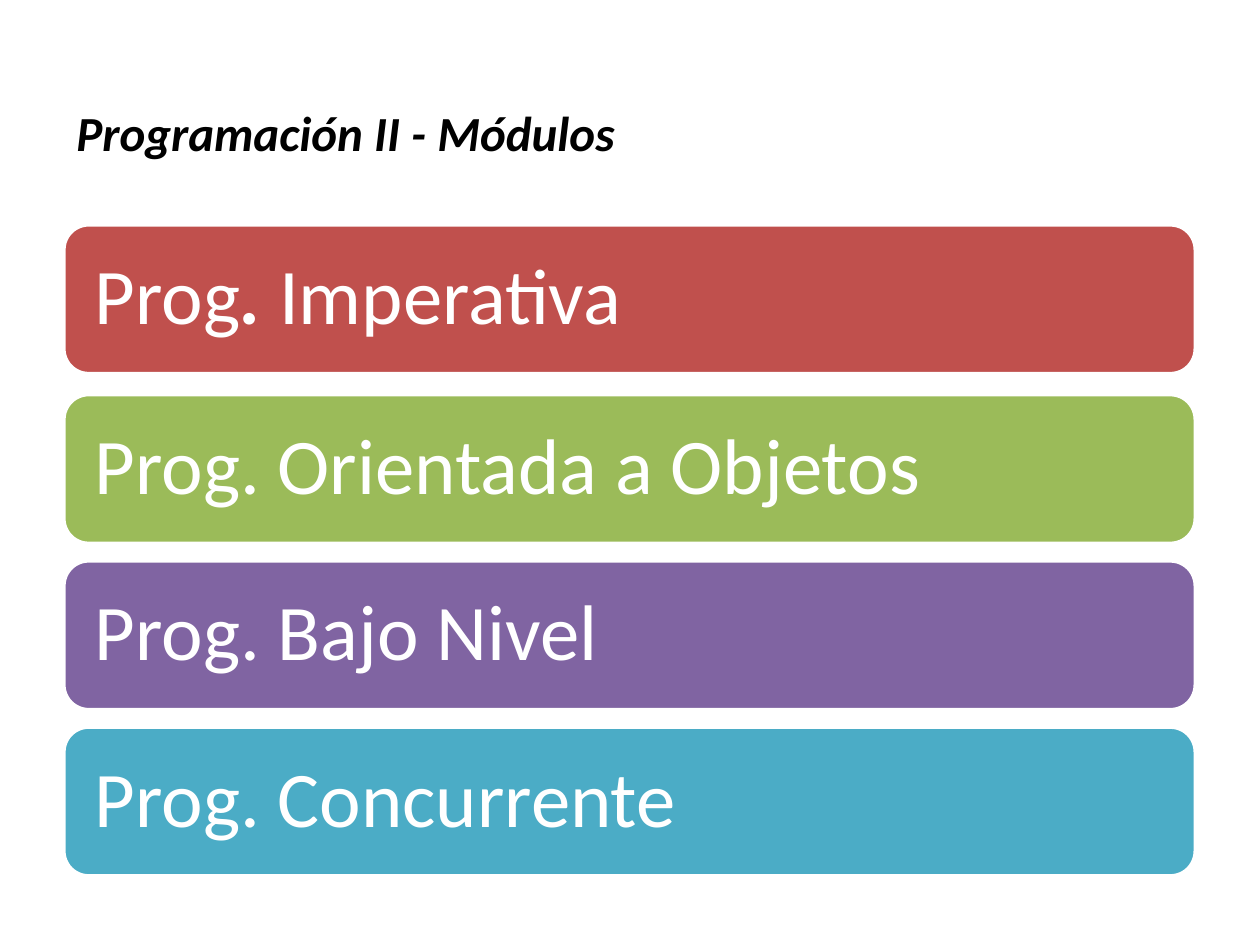
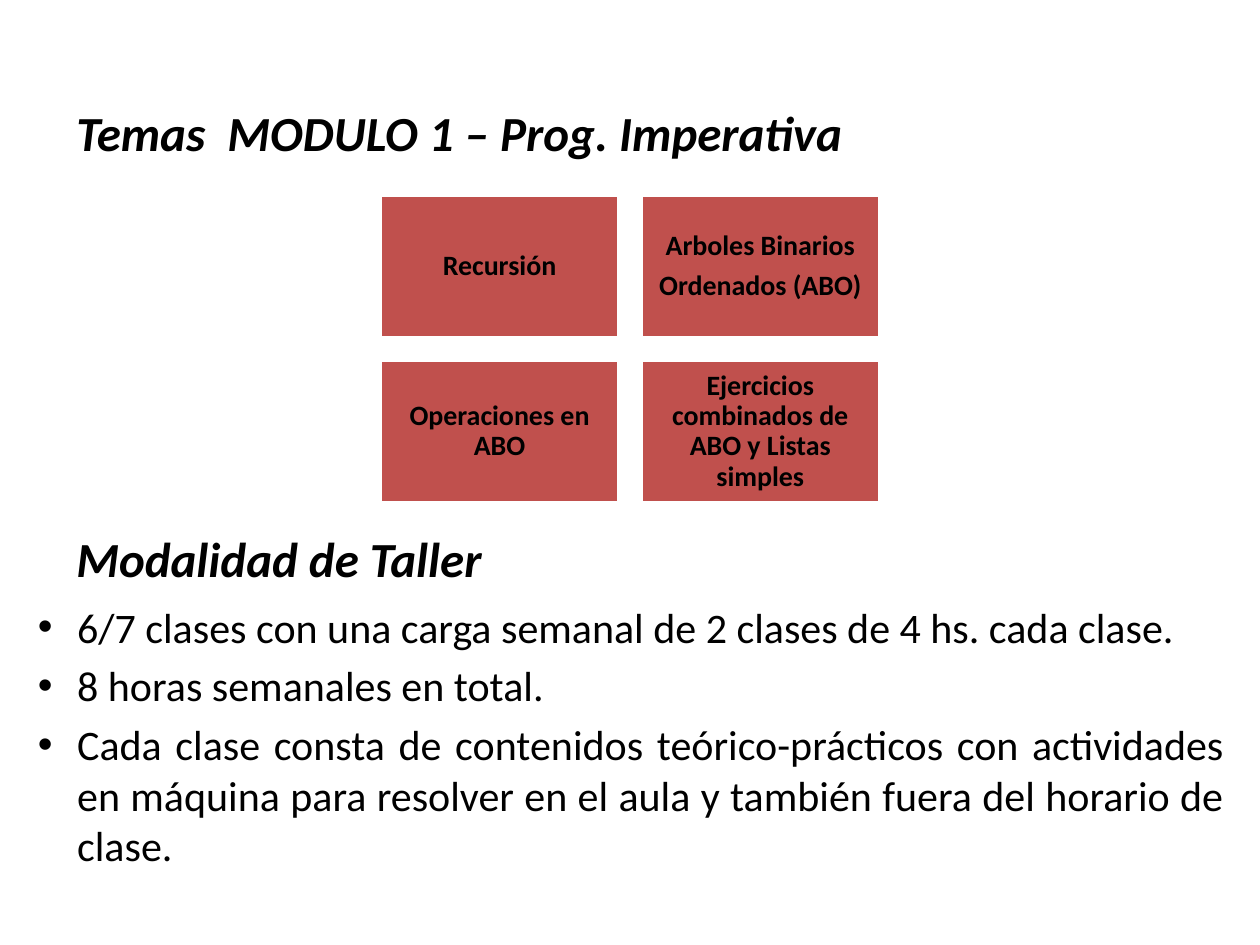
from lxml.etree import SubElement
from pptx import Presentation
from pptx.dml.color import RGBColor
from pptx.enum.shapes import MSO_SHAPE
from pptx.enum.text import MSO_ANCHOR, PP_ALIGN
from pptx.oxml.ns import qn
from pptx.util import Pt

FONT = "Calibri"
BLACK = RGBColor(0x00, 0x00, 0x00)
WHITE = RGBColor(0xFF, 0xFF, 0xFF)
RED = RGBColor(0xC0, 0x50, 0x4D)
GREEN = RGBColor(0x9B, 0xBB, 0x59)
PURPLE = RGBColor(0x80, 0x64, 0xA2)
TEAL = RGBColor(0x4B, 0xAC, 0xC6)

LEFT = 36.5  # shared left edge of titles and cards

MODULES = [
    ([("Prog", {}), (". ", {"bold": True, "italic": True}), ("Imperativa", {})], RED),
    ("Prog. Orientada a Objetos", GREEN),
    ("Prog. Bajo Nivel", PURPLE),
    ("Prog. Concurrente", TEAL),
]
TOPICS = [
    ["Recursión"],
    ["Arboles Binarios", "Ordenados (ABO)"],
    ["Operaciones en ABO"],
    ["Ejercicios combinados de ABO y Listas simples"],
]
WORKSHOP = [
    "6/7 clases con una carga semanal de 2 clases de 4 hs. cada clase. ",
    "8 horas semanales en total.",
    "Cada clase consta de contenidos teórico-prácticos con actividades en máquina "
    "para resolver en el aula y también fuera del horario de clase.",
]


def add_bullet(paragraph, indent):
    properties = paragraph._p.get_or_add_pPr()
    properties.set("marL", str(Pt(indent)))
    properties.set("indent", str(-Pt(indent)))
    SubElement(properties, qn("a:buFont")).set("typeface", "Arial")
    SubElement(properties, qn("a:buChar")).set("char", "•")


def write(shape, paragraphs, size, color=BLACK, bold=False, italic=False,
          align=PP_ALIGN.LEFT, anchor=MSO_ANCHOR.TOP, margins=(7.2, 3.6),
          line_spacing=None, gap=0, bullet_indent=None):
    """Fill a shape; each paragraph is a string or a list of (text, format) runs."""
    frame = shape.text_frame
    frame.word_wrap = True
    frame.vertical_anchor = anchor
    frame.margin_left = frame.margin_right = Pt(margins[0])
    frame.margin_top = frame.margin_bottom = Pt(margins[1])
    for index, content in enumerate(paragraphs):
        paragraph = frame.add_paragraph() if index else frame.paragraphs[0]
        paragraph.alignment = align
        if line_spacing:
            paragraph.line_spacing = line_spacing
        if index:
            paragraph.space_before = Pt(gap)
        if bullet_indent:
            add_bullet(paragraph, bullet_indent)
        runs = [(content, {})] if isinstance(content, str) else content
        for text, run_format in runs:
            run = paragraph.add_run()
            run.text = text
            run.font.name = FONT
            run.font.size = Pt(size)
            run.font.color.rgb = color
            run.font.bold = run_format.get("bold", bold)
            run.font.italic = run_format.get("italic", italic)


def add_block(slide, kind, box, fill):
    shape = slide.shapes.add_shape(kind, *map(Pt, box))
    shape.shadow.inherit = False
    shape.fill.solid()
    shape.fill.fore_color.rgb = fill
    shape.line.color.rgb = WHITE
    shape.line.width = Pt(2)
    return shape


def add_heading(slide, text, top=55):
    heading = slide.shapes.add_textbox(Pt(LEFT), Pt(top), Pt(600), Pt(41))
    write(heading, [text], size=28, bold=True, italic=True)


def add_module_cards(slide, left, top, width):
    # The first card stands slightly apart from the rest
    for (text, fill), offset in zip(MODULES, (0, 97, 192, 287)):
        card = add_block(slide, MSO_SHAPE.ROUNDED_RECTANGLE,
                         (left, top + offset, width, 85), fill)
        write(card, [text], size=45, color=WHITE, anchor=MSO_ANCHOR.MIDDLE,
              margins=(13.5, 13.5), line_spacing=0.9)


def add_topic_grid(slide, left, top, width, height, gutter=13, columns=2):
    tile_width = (width - gutter) / columns
    tile_height = (height - gutter) / 2
    for index, lines in enumerate(TOPICS):
        row, column = divmod(index, columns)
        box = (left + column * (tile_width + gutter),
               top + row * (tile_height + gutter), tile_width, tile_height)
        tile = add_block(slide, MSO_SHAPE.RECTANGLE, box, RED)
        write(tile, lines, size=16, bold=True, align=PP_ALIGN.CENTER,
              anchor=MSO_ANCHOR.MIDDLE, margins=(4.8, 4.8), line_spacing=0.9, gap=5.6)


def add_workshop_list(slide, *box):
    workshop = slide.shapes.add_textbox(*map(Pt, box))
    write(workshop, WORKSHOP, size=24, align=PP_ALIGN.JUSTIFY, gap=4.8,
          bullet_indent=22.5)


def build_modules_slide(slide):
    add_heading(slide, "Programación II - Módulos")
    add_module_cards(slide, LEFT, 128.5, 646.5)


def build_topics_slide(slide):
    add_heading(slide, "Temas  MODULO 1 – Prog. Imperativa")
    add_topic_grid(slide, 217.5, 111.5, 285, 176)
    add_heading(slide, "Modalidad de Taller", top=298.5)
    add_workshop_list(slide, 14.5, 340, 692, 164)


def main():
    presentation = Presentation()
    presentation.slide_width = Pt(720)
    presentation.slide_height = Pt(540)
    blank_layout = presentation.slide_layouts[6]
    for build in (build_modules_slide, build_topics_slide):
        build(presentation.slides.add_slide(blank_layout))
    presentation.save("out.pptx")


if __name__ == "__main__":
    main()
